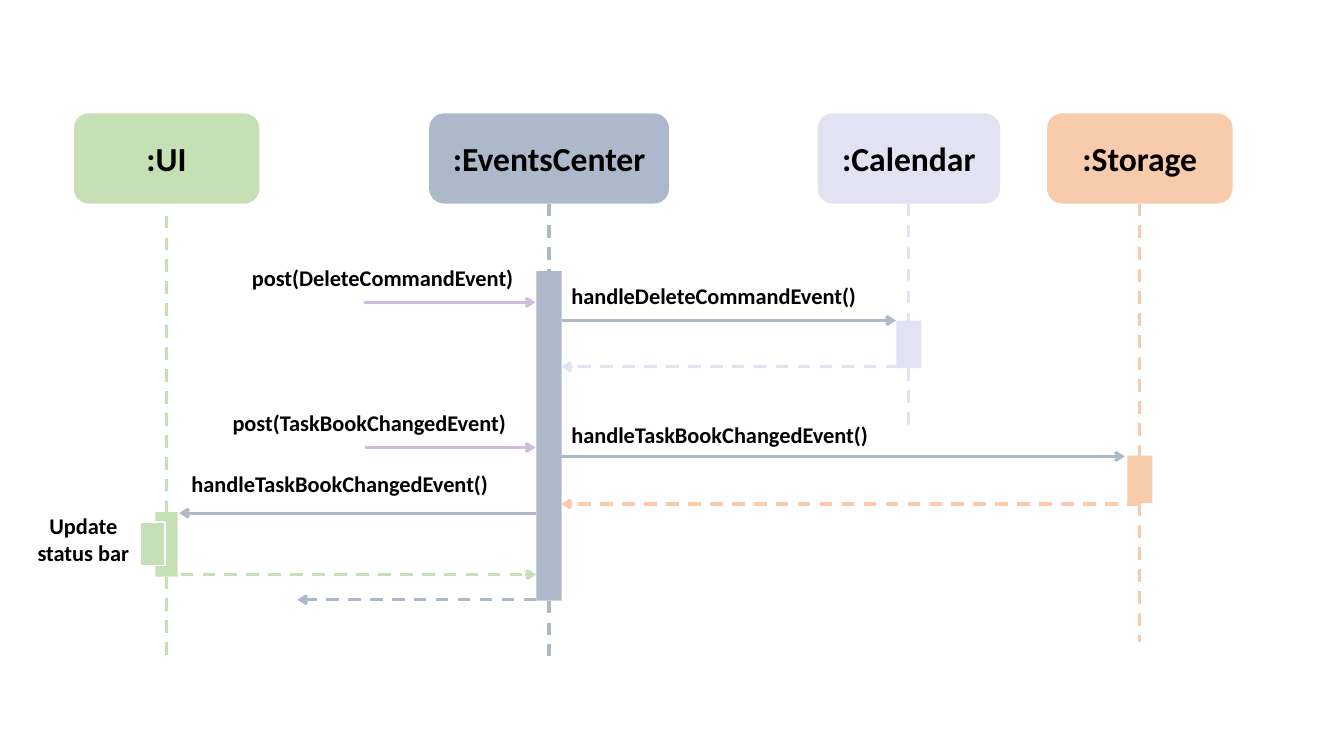
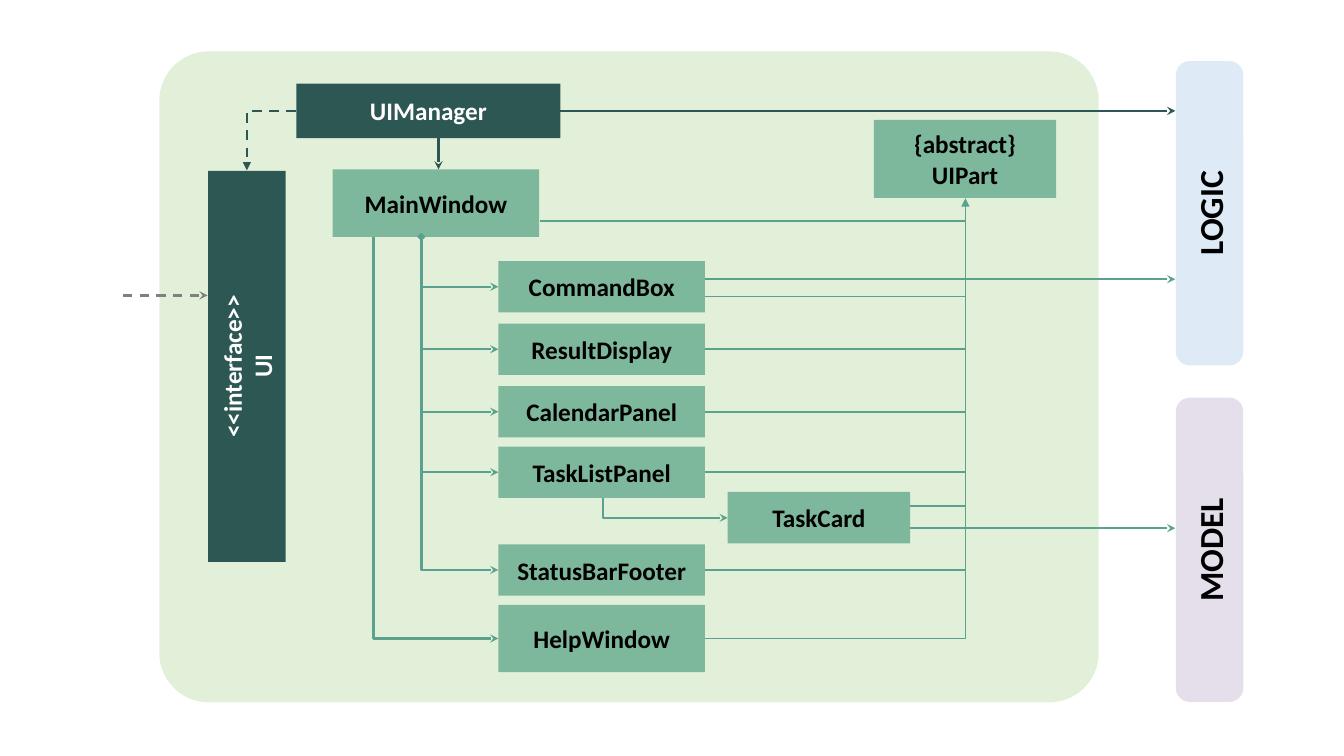
from lxml import etree
from pptx import Presentation
from pptx.dml.color import RGBColor
from pptx.enum import dml, shapes, text
from pptx.oxml.ns import qn
from pptx.util import Pt

FONT = "Calibri"
BLACK = RGBColor(0x00, 0x00, 0x00)
WHITE = RGBColor(0xFF, 0xFF, 0xFF)
GREEN = RGBColor(0xC5, 0xE0, 0xB4)
SLATE = RGBColor(0xAD, 0xB9, 0xCA)
LILAC = RGBColor(0xE2, 0xE2, 0xF3)
PEACH = RGBColor(0xF8, 0xCB, 0xAD)
MAUVE = RGBColor(0xD3, 0xBA, 0xE1)
PALE_GREEN = RGBColor(0xE2, 0xF0, 0xD9)
DARK_TEAL = RGBColor(0x2D, 0x57, 0x52)
SAGE = RGBColor(0x7D, 0xB7, 0x9C)
TEAL = RGBColor(0x5A, 0xA2, 0x8D)
GREY = RGBColor(0x80, 0x80, 0x80)
PALE_BLUE = RGBColor(0xDE, 0xEB, 0xF7)
PALE_PURPLE = RGBColor(0xE5, 0xDF, 0xEB)
RECT = shapes.MSO_SHAPE.RECTANGLE
ROUNDED = shapes.MSO_SHAPE.ROUNDED_RECTANGLE


def add_box(slide, at, fill, label="", size=18, color=BLACK, kind=RECT):
    box = slide.shapes.add_shape(kind, *[Pt(v) for v in at])
    box.shadow.inherit = False
    box.fill.solid()
    box.fill.fore_color.rgb = fill
    box.line.fill.background()
    frame = box.text_frame
    frame.vertical_anchor = text.MSO_ANCHOR.MIDDLE
    for i, words in enumerate(label.split("\n") if label else []):
        paragraph = frame.add_paragraph() if i else frame.paragraphs[0]
        paragraph.alignment = text.PP_ALIGN.CENTER
        run = paragraph.add_run()
        run.text = words
        run.font.name, run.font.size, run.font.bold = FONT, Pt(size), True
        run.font.color.rgb = color
    return box


def add_line(slide, start, end, color, width=2.25, dash=False, head=None, tail=None, bent=False):
    """A bent line runs sideways first, then up or down."""
    kind = shapes.MSO_CONNECTOR.ELBOW if bent else shapes.MSO_CONNECTOR.STRAIGHT
    line = slide.shapes.add_connector(kind, *[Pt(v) for v in (*start, *end)])
    line.line.color.rgb = color
    line.line.width = Pt(width)
    if dash:
        line.line.dash_style = dml.MSO_LINE.DASH
    properties = line._element.spPr
    if bent:
        properties.find(qn("a:prstGeom")).set("prst", "bentConnector2")
    for tag, arrow in (("a:headEnd", head), ("a:tailEnd", tail)):
        if arrow:
            etree.SubElement(properties.find(qn("a:ln")), qn(tag)).set("type", arrow)
    etree.SubElement(properties, qn("a:effectLst"))


deck = Presentation()
deck.slide_width, deck.slide_height = Pt(960), Pt(540)
blank = deck.slide_layouts[6]

# Slide 1: sequence of delete events
sequence = deck.slides.add_slide(blank)

# Participants: name, centre, width, colour, bar width, lifeline start, bar top and bottom, lifeline end
participants = [
    (":UI", 119, 132.5, GREEN, 16, 154, 365.8, 411.8, 470),
    (":EventsCenter", 392.2, 171.4, SLATE, 18, 145.4, 193.7, 429, 468.7),
    (":Calendar", 649.2, 130.3, LILAC, 18, 145, 229, 263, 305.3),
    (":Storage", 814.2, 132.5, PEACH, 18, 145.4, 325.4, 359.5, 458.6),
]
for name, centre, width, color, bar, start, top, bottom, end in participants:
    add_box(sequence, (centre - width / 2, 81, width, 64.4), color, name, 24, kind=ROUNDED)
    add_line(sequence, (centre, start), (centre, top), color, dash=True)
    add_box(sequence, (centre - bar / 2, top, bar, bottom - top), color)
    add_line(sequence, (centre, bottom), (centre, end), color, dash=True)

# Status bar update inside the UI
update = add_box(sequence, (100, 373, 18, 31), GREEN)
update.line.color.rgb = WHITE
update.line.width = Pt(1)

# Messages: from, to, height, colour, is a return
messages = [
    (260, 382.5, 216, MAUVE, False),
    (401.8, 640, 229, SLATE, False),
    (641.5, 401, 262, LILAC, True),
    (260.5, 382.5, 319.7, MAUVE, False),
    (401, 803.5, 326, SLATE, False),
    (814, 401, 360, PEACH, True),
    (383, 128, 366.5, SLATE, False),
    (129, 383, 410.4, GREEN, True),
    (383, 212.4, 428.4, SLATE, True),
]
for start, end, y, color, is_return in messages:
    add_line(sequence, (start, y), (end, y), color, dash=is_return, tail="arrow")

# Message labels
captions = [
    ("post(DeleteCommandEvent)", 172.8, 185, 228, 26.6),
    ("handleDeleteCommandEvent()", 401, 198, 228, 26.6),
    ("post(TaskBookChangedEvent)", 159, 288.7, 228, 26.6),
    ("handleTaskBookChangedEvent()", 401, 297.4, 254, 26.6),
    ("handleTaskBookChangedEvent()", 129.6, 332.6, 254, 26.6),
    ("Update status bar", 13, 362, 93, 46),
]
for words, *at in captions:
    caption = sequence.shapes.add_textbox(*[Pt(v) for v in at]).text_frame
    caption.word_wrap = True
    caption.auto_size = text.MSO_AUTO_SIZE.SHAPE_TO_FIT_TEXT
    if words.startswith("Update"):
        caption.paragraphs[0].alignment = text.PP_ALIGN.CENTER
    run = caption.paragraphs[0].add_run()
    run.text = words
    run.font.name, run.font.size, run.font.bold = FONT, Pt(16), True
    run.font.color.rgb = BLACK

# Slide 2: structure of the UI component
structure = deck.slides.add_slide(blank)
panel = add_box(structure, (113.8, 36.7, 671, 465), PALE_GREEN, kind=ROUNDED)
panel.adjustments[0] = 0.076

# Upright blocks
interface = add_box(structure, (36.7, 234, 279.4, 55.4), DARK_TEAL, "<<interface>>\nUI", color=WHITE)
interface.rotation = 270
for name, top, color in (("LOGIC", 128.2, PALE_BLUE), ("MODEL", 368.6, PALE_PURPLE)):
    component = add_box(structure, (755.3, top, 217.4, 48.2), color, name, 24, kind=ROUNDED)
    component.adjustments[0] = 0.206
    component.rotation = 270

# Manager, main window and abstract part
add_box(structure, (211.7, 59.8, 188.6, 38.9), DARK_TEAL, "UIManager", color=WHITE)
add_box(structure, (237.6, 121, 147.6, 48.2), SAGE, "MainWindow")
add_box(structure, (624.2, 85.7, 130.3, 55.6), SAGE, "{abstract} UIPart")
add_box(structure, (519.8, 351.4, 130.3, 36.7), SAGE, "TaskCard")

# Window parts: each hangs on the trunk and derives from UIPart
left, right, trunk, spine, outside = 356, 503.6, 301, 689.6, 839.5
window_bottom, part_bottom = 169.2, 141.6
parts = [
    ("CommandBox", 186.5, 36.7),
    ("ResultDisplay", 231.1, 36.7),
    ("CalendarPanel", 275.8, 36.7),
    ("TaskListPanel", 319, 36.7),
    ("StatusBarFooter", 388.8, 36.7),
    ("HelpWindow", 432, 48.2),
]
for name, top, height in parts:
    add_box(structure, (left, top, right - left, height), SAGE, name)
    middle = top + height / 2
    is_help, is_footer = name == "HelpWindow", name == "StatusBarFooter"
    if is_help:
        add_line(structure, (left, middle), (267, window_bottom), TEAL, 1.75, head="stealth", bent=True)
        add_line(structure, (right, middle), (spine, part_bottom), TEAL, 1.25, tail="triangle", bent=True)
        continue
    if is_footer:
        add_line(structure, (left, middle), (trunk, window_bottom), TEAL, 1.75,
                 head="stealth", tail="diamond", bent=True)
    else:
        add_line(structure, (trunk, middle), (left, middle), TEAL, 1.75, tail="stealth")
    derive = middle + 7 if name == "CommandBox" else middle
    add_line(structure, (right, derive), (spine, derive), TEAL, 1.25)

# Other derivations from UIPart
for start, y in ((385.5, 157.7), (650, 361.4)):
    add_line(structure, (start, y), (spine, y), TEAL, 1.25)

# Calls and ownership
add_line(structure, (211.7, 79.2), (176.4, 121.7), DARK_TEAL, 1.75, dash=True, tail="triangle", bent=True)
add_line(structure, (519.8, 370), (430.6, 355.7), TEAL, 1.75, head="stealth", bent=True)
add_line(structure, (313.2, 98.7), (313.2, 121), DARK_TEAL, 1.75, tail="stealth")
add_line(structure, (87.8, 211), (148.3, 211), GREY, 1.7, dash=True, tail="stealth")
for start, y, color in ((400.3, 79.2, DARK_TEAL), (right, 199.4, TEAL), (650, 377.3, TEAL)):
    add_line(structure, (start, y), (outside, y), color, 1.75, tail="stealth")

deck.save("out.pptx")
